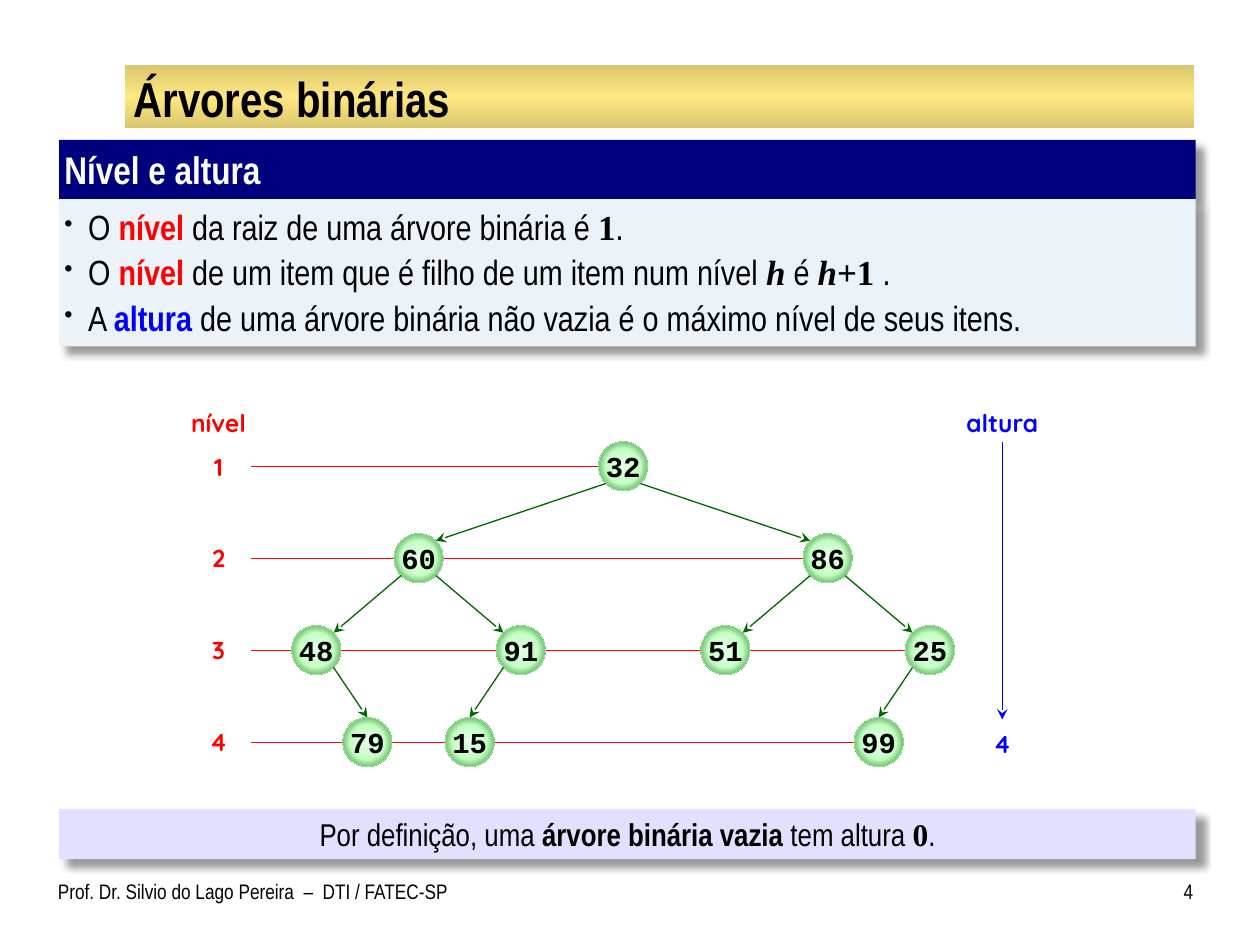
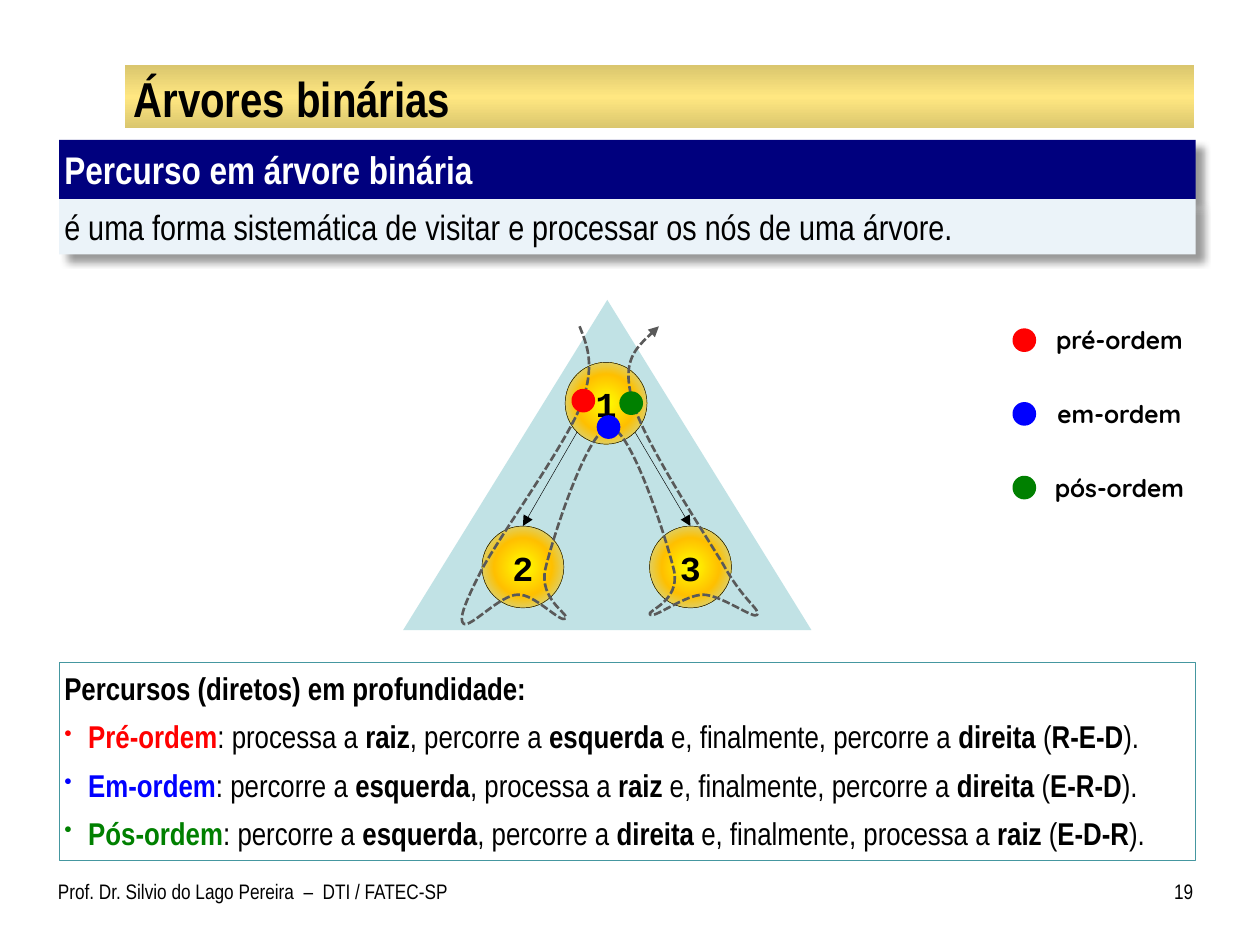
"""Builds two lecture slides on binary trees: level and height, and depth-first traversals."""
from dataclasses import dataclass
from math import sqrt
from typing import NamedTuple, Optional

from lxml import etree
from pptx import Presentation
from pptx.dml.color import RGBColor
from pptx.enum.dml import MSO_LINE
from pptx.enum.shapes import MSO_CONNECTOR, MSO_SHAPE
from pptx.enum.text import MSO_ANCHOR, PP_ALIGN
from pptx.oxml import parse_xml
from pptx.oxml.ns import nsdecls, qn
from pptx.util import Inches, Pt

RECTANGLE, ELLIPSE, TRIANGLE = MSO_SHAPE.RECTANGLE, MSO_SHAPE.OVAL, MSO_SHAPE.ISOSCELES_TRIANGLE
STRAIGHT = MSO_CONNECTOR.STRAIGHT
DOTTED, DASHED = MSO_LINE.ROUND_DOT, MSO_LINE.SQUARE_DOT
LEFT, CENTER, RIGHT, JUSTIFY = PP_ALIGN.LEFT, PP_ALIGN.CENTER, PP_ALIGN.RIGHT, PP_ALIGN.JUSTIFY
TOP, MIDDLE = MSO_ANCHOR.TOP, MSO_ANCHOR.MIDDLE
SIDE_TOP, SIDE_BOTTOM, SIDE_RIGHT = 0, 2, 3


@dataclass(frozen=True)
class Theme:
    body_font: str = "Arial Narrow"
    node_font: str = "Courier New"
    label_font: str = "Quicksand"
    math_font: str = "Times New Roman"
    black: str = "000000"
    white: str = "FFFFFF"
    red: str = "FF0000"
    blue: str = "0000FF"
    green: str = "008000"
    edge: str = "006600"
    route: str = "595959"
    navy: str = "00007E"
    panel: str = "EBF3F9"
    remark: str = "E1E1FF"
    frame: str = "4597A0"
    subtree: str = "BBE0E3"
    gold_band: tuple = ("DAC66E", "FFE781", "DAC66E")
    green_node: tuple = ("E5FFE5", "C5FFC5", "006600")
    green_rim: str = "AFFFAF"
    gold_node: tuple = ("FFFF00", "FFC000", "B8E3E6")
    title_size: float = 28
    heading_size: float = 22
    body_size: float = 20
    note_size: float = 18
    label_size: float = 14
    footer_size: float = 12
    tree_node_size: float = 16.5


THEME = Theme()
SIDE_MARGINS = (0.04, 0.05, 0.04, 0.05)
NO_MARGINS = (0, 0, 0, 0)


class Area(NamedTuple):
    left: float
    top: float
    width: float
    height: float

    def inches(self) -> list:
        return [Inches(length) for length in self]


class Span(NamedTuple):
    text: str
    color: str = THEME.black
    bold: bool = False
    font: str = THEME.body_font
    italic: bool = False


class Line(NamedTuple):
    spans: list
    align: int = JUSTIFY
    before: float = 0
    bullet: bool = False


class Stroke(NamedTuple):
    color: str
    width: float
    dash: Optional[int] = None
    arrow: Optional[str] = None


class Node(NamedTuple):
    value: str
    x: float
    y: float
    diameter: float


class TreeItem(NamedTuple):
    value: str
    column: int
    level: int
    parent: Optional[str] = None


class Traversal(NamedTuple):
    name: str
    color: str
    order: str


TREE = [
    TreeItem("32", 6, 0), TreeItem("60", 2, 1, "32"), TreeItem("86", 10, 1, "32"),
    TreeItem("48", 0, 2, "60"), TreeItem("91", 4, 2, "60"), TreeItem("51", 8, 2, "86"),
    TreeItem("25", 12, 2, "86"), TreeItem("79", 1, 3, "48"), TreeItem("15", 3, 3, "91"),
    TreeItem("99", 11, 3, "25"),
]
TRAVERSALS = [
    Traversal("pré-ordem", THEME.red, "RED"),
    Traversal("em-ordem", THEME.blue, "ERD"),
    Traversal("pós-ordem", THEME.green, "EDR"),
]
VISITS = {"R": ("processa a ", "raiz"), "E": ("percorre a ", "esquerda"), "D": ("percorre a ", "direita")}
ROUTE = [
    (4.6, 2.59), (4.66, 2.74), (4.73, 2.9), (4.61, 3.22), (4.48, 3.54), (3.99, 4.22), (3.83, 4.51),
    (3.68, 4.8), (3.64, 4.92), (3.68, 4.95), (3.73, 4.99), (3.97, 4.72), (4.11, 4.72),
    (4.24, 4.71), (4.45, 4.95), (4.49, 4.91), (4.53, 4.88), (4.27, 4.76), (4.33, 4.51),
    (4.39, 4.26), (4.67, 3.39), (4.84, 3.39), (5.01, 3.4), (5.29, 4.28), (5.35, 4.53),
    (5.4, 4.78), (5.12, 4.85), (5.16, 4.88), (5.19, 4.91), (5.44, 4.72), (5.58, 4.72),
    (5.72, 4.72), (5.99, 4.92), (6.01, 4.88), (6.04, 4.84), (5.9, 4.77), (5.74, 4.48),
    (5.57, 4.2), (5.1, 3.49), (5.02, 3.18), (4.93, 2.86), (5.08, 2.73), (5.23, 2.59),
]


def write_text(box, lines: list, size: float, margins: tuple = NO_MARGINS, anchor: int = MIDDLE) -> None:
    frame = box.text_frame
    frame.word_wrap = True
    frame.vertical_anchor = anchor
    frame.margin_left, frame.margin_top, frame.margin_right, frame.margin_bottom = map(Inches, margins)
    for index, line in enumerate(lines):
        para = frame.add_paragraph() if index else frame.paragraphs[0]
        para.alignment = line.align
        para.space_before = Pt(line.before)
        if line.bullet:
            properties = para._p.get_or_add_pPr()
            properties.set("marL", str(Inches(0.19)))
            properties.set("indent", str(-Inches(0.19)))
            etree.SubElement(properties, qn("a:buSzPct"), val="70000")
            etree.SubElement(properties, qn("a:buChar"), char="•")
        for span in line.spans:
            run = para.add_run()
            run.text = span.text
            run.font.name, run.font.size = span.font, Pt(size)
            run.font.bold, run.font.italic = span.bold, span.italic
            run.font.color.rgb = RGBColor.from_string(span.color)


def add_text(page, area: Area, span: Span, size: float, align: int = CENTER,
             margins: tuple = NO_MARGINS, anchor: int = MIDDLE):
    box = page.shapes.add_textbox(*area.inches())
    write_text(box, [Line([span], align)], size, margins, anchor)
    return box


def apply_stroke(shape, stroke: Stroke) -> None:
    shape.line.color.rgb = RGBColor.from_string(stroke.color)
    shape.line.width = Pt(stroke.width)
    if stroke.dash is not None:
        shape.line.dash_style = stroke.dash
    if stroke.arrow:
        etree.SubElement(shape.get_or_add_ln(), qn("a:tailEnd"), type=stroke.arrow)


def add_figure(page, kind: int, area: Area, fill: Optional[str] = None, stroke: Optional[Stroke] = None):
    shape = page.shapes.add_shape(kind, *area.inches())
    shape.shadow.inherit = False
    if fill:
        shape.fill.solid()
        shape.fill.fore_color.rgb = RGBColor.from_string(fill)
    else:
        shape.fill.background()
    if stroke:
        apply_stroke(shape, stroke)
    else:
        shape.line.fill.background()
    return shape


def apply_gradient(shape, colors: tuple, shading: str) -> None:
    shape.fill.gradient()
    stops = "".join(f'<a:gs pos="{50000 * index}"><a:srgbClr val="{color}"/></a:gs>'
                    for index, color in enumerate(colors))
    gradient = parse_xml(f'<a:gradFill {nsdecls("a")} rotWithShape="1"><a:gsLst>{stops}</a:gsLst>{shading}</a:gradFill>')
    properties = shape.element.spPr
    properties.replace(properties.find(qn("a:gradFill")), gradient)


def add_panel(page, area: Area, fill: str, lines: list, size: float) -> None:
    panel = add_figure(page, RECTANGLE, area, fill)
    panel.element.spPr.find(qn("a:effectLst")).append(parse_xml(
        f'<a:outerShdw {nsdecls("a")} blurRad="{Pt(4)}" dist="{Pt(6)}" dir="2700000" algn="tl" rotWithShape="0">'
        f'<a:srgbClr val="{THEME.black}"><a:alpha val="40000"/></a:srgbClr></a:outerShdw>'))
    write_text(panel, lines, size, SIDE_MARGINS, TOP)


def add_line(page, start: tuple, end: tuple, stroke: Stroke):
    connector = page.shapes.add_connector(STRAIGHT, *map(Inches, start + end))
    etree.SubElement(connector.element.spPr, qn("a:effectLst"))
    apply_stroke(connector, stroke)
    return connector


def add_node(page, node: Node, colors: tuple, rim: str, size: float) -> None:
    radius = node.diameter / 2
    area = Area(node.x - radius, node.y - radius, node.diameter, node.diameter)
    circle = add_figure(page, ELLIPSE, area, stroke=Stroke(rim, 0.25))
    apply_gradient(circle, colors, '<a:path path="circle"><a:fillToRect l="50000" t="50000" r="50000" b="50000"/></a:path>')
    write_text(circle, [Line([Span(node.value, bold=True, font=THEME.node_font)], CENTER)], size)


def add_edge(page, parent: Node, child: Node, stroke: Stroke, to_top: bool) -> None:
    side = 1 if child.x > parent.x else -1
    radius = parent.diameter / 2
    corner = radius / sqrt(2)
    end = (child.x, child.y - radius) if to_top else (child.x - side * corner, child.y - corner)
    add_line(page, (parent.x + side * corner, parent.y + corner), end, stroke)


def add_dot(page, left: float, top: float, color: str) -> None:
    add_figure(page, ELLIPSE, Area(left, top, 0.16, 0.16), color, Stroke(color, 2))


def add_page(deck, number: str, heading: str, body_height: float, body: list):
    page = deck.slides.add_slide(deck.slide_layouts[5])
    title = page.shapes.title
    title.left, title.top, title.width, title.height = Area(1, 0.54, 8.47, 0.47).inches()
    write_text(title, [Line([Span("Árvores binárias", bold=True)], LEFT)], THEME.title_size, (0.06, 0.01, 0.06, 0.01))
    band = add_figure(page, RECTANGLE, Area(0.99, 0.52, 8.49, 0.5))
    apply_gradient(band, THEME.gold_band, '<a:lin ang="5400000" scaled="1"/>')
    page.shapes.element.insert(2, band.element)
    add_text(page, Area(0.46, 6.92, 3.4, 0.42), Span("Prof. Dr. Silvio do Lago Pereira  –  DTI / FATEC-SP"),
             THEME.footer_size, LEFT, (0, 0.05, 0.1, 0.05), TOP)
    add_text(page, Area(9.08, 6.92, 0.39, 0.42), Span(number), THEME.footer_size, RIGHT, (0.1, 0.05, 0, 0.05), TOP)
    add_panel(page, Area(0.47, 1.11, 9.02, 0.47), THEME.navy,
              [Line([Span(heading, THEME.white, True)], LEFT)], THEME.heading_size)
    add_panel(page, Area(0.47, 1.58, 9.02, body_height), THEME.panel, body, THEME.body_size)
    return page


def build_levels(deck) -> None:
    level = Span("nível", THEME.red, True)
    one, h = Span("1", bold=True, font=THEME.math_font), Span("h", bold=True, font=THEME.math_font, italic=True)
    facts = [
        [Span("O "), level, Span(" da raiz de uma árvore binária é "), one, Span(".")],
        [Span("O "), level, Span(" de um item que é filho de um item num nível "), h, Span(" é "), h,
         one._replace(text="+1"), Span(" .")],
        [Span("A "), Span("altura", THEME.blue, True),
         Span(" de uma árvore binária não vazia é o máximo nível de seus itens.")],
    ]
    page = add_page(deck, "4", "Nível e altura", 1.17, [Line(spans, before=2, bullet=True) for spans in facts])
    add_panel(page, Area(0.47, 6.42, 9.02, 0.4), THEME.remark, [Line(
        [Span("Por definição, uma "), Span("árvore binária vazia", bold=True), Span(" tem altura "),
         one._replace(text="0"), Span(".")], CENTER)], THEME.note_size)

    diameter, level_gap, column_gap = 0.39, 0.73, 4.87 / 12
    nodes = {item.value: Node(item.value, 2.51 + column_gap * item.column, 3.7 + level_gap * item.level, diameter)
             for item in TREE}
    red_label = Span("nível", THEME.red, True, THEME.label_font)
    add_text(page, Area(1.48, 3.2, 0.51, 0.31), red_label, THEME.label_size)
    for depth in range(4):
        middle = 3.7 + level_gap * depth
        label = add_text(page, Area(1.48, middle - diameter / 2, 0.51, diameter),
                         red_label._replace(text=str(depth + 1)), THEME.label_size)
        last = max(nodes[item.value].x for item in TREE if item.level == depth)
        guide = add_line(page, (1.99, middle), (last - diameter / 2, middle), Stroke(THEME.red, 0.25, DOTTED))
        guide.begin_connect(label, SIDE_RIGHT)
    for node in nodes.values():
        add_node(page, node, THEME.green_node, THEME.green_rim, THEME.tree_node_size)
    for item in TREE:
        if item.parent:
            add_edge(page, nodes[item.parent], nodes[item.value], Stroke(THEME.edge, 0.75, arrow="stealth"), item.level == 3)

    blue_label = Span("altura", THEME.blue, True, THEME.label_font)
    height_name = add_text(page, Area(7.66, 3.2, 0.59, 0.31), blue_label, THEME.label_size)
    height_value = add_text(page, Area(7.66, 5.71, 0.59, 0.39), blue_label._replace(text="4"), THEME.label_size)
    arrow = add_line(page, (7.95, 3.51), (7.95, 5.71), Stroke(THEME.blue, 0.25, DOTTED, "stealth"))
    arrow.begin_connect(height_name, SIDE_BOTTOM)
    arrow.end_connect(height_value, SIDE_TOP)


def describe(traversal: Traversal) -> Line:
    spans = [Span(traversal.name.capitalize(), traversal.color, True)]
    for joint, step in zip((": ", ", ", " e, finalmente, "), traversal.order):
        verb, target = VISITS[step]
        spans += [Span(joint + verb), Span(target, bold=True)]
    spans += [Span(" ("), Span("-".join(traversal.order), bold=True), Span(").")]
    return Line(spans, before=6, bullet=True)


def add_route(page) -> None:
    points = [(Inches(x), Inches(y)) for x, y in ROUTE]
    builder = page.shapes.build_freeform(*points[0])
    builder.add_line_segments(points[1:], close=False)
    route = builder.convert_to_shape()
    route.shadow.inherit = False
    route.fill.background()
    apply_stroke(route, Stroke(THEME.route, 1.5, DASHED, "triangle"))
    outline = next(route.element.iter(qn("a:path")))
    segments = outline.findall(qn("a:lnTo"))
    for first in range(0, len(segments), 3):
        curve = etree.SubElement(outline, qn("a:cubicBezTo"))
        for segment in segments[first:first + 3]:
            curve.append(segment[0])
            outline.remove(segment)


def build_traversals(deck) -> None:
    page = add_page(deck, "19", "Percurso em árvore binária", 0.44, [Line(
        [Span("é uma forma sistemática de visitar e processar os nós de uma árvore.")], before=2)])
    summary = add_figure(page, RECTANGLE, Area(0.47, 5.26, 9.02, 1.57), stroke=Stroke(THEME.frame, 0.75))
    heading = Line([Span("Percursos (diretos) em profundidade:", bold=True)], before=2)
    write_text(summary, [heading] + [describe(traversal) for traversal in TRAVERSALS], THEME.note_size, SIDE_MARGINS, TOP)

    triangle = add_figure(page, TRIANGLE, Area(3.2, 2.38, 3.24, 2.62), THEME.subtree)
    etree.SubElement(next(triangle.element.spPr.iter(qn("a:srgbClr"))), qn("a:alpha"), val="91000")
    root, *children = [Node("1", 4.81, 3.2, 0.65), Node("2", 4.15, 4.5, 0.65), Node("3", 5.48, 4.5, 0.65)]
    for node in (root, *children):
        add_node(page, node, THEME.gold_node, THEME.black, THEME.body_size)
    for child in children:
        add_edge(page, root, child, Stroke(THEME.black, 0.25, arrow="triangle"), True)
    add_route(page)
    for index, (traversal, place) in enumerate(zip(TRAVERSALS, [(4.55, 3.1), (4.75, 3.31), (4.93, 3.12)])):
        add_dot(page, *place, traversal.color)
        top = 2.62 + 1.17 / 2 * index
        add_dot(page, 8.05, top, traversal.color)
        add_text(page, Area(8.36, top - 0.04, 1.05, 0.24), Span(traversal.name, bold=True, font=THEME.label_font), THEME.label_size)


def main() -> None:
    deck = Presentation()
    deck.slide_width, deck.slide_height = Inches(10), Inches(7.5)
    build_levels(deck)
    build_traversals(deck)
    deck.save("out.pptx")


if __name__ == "__main__":
    main()
